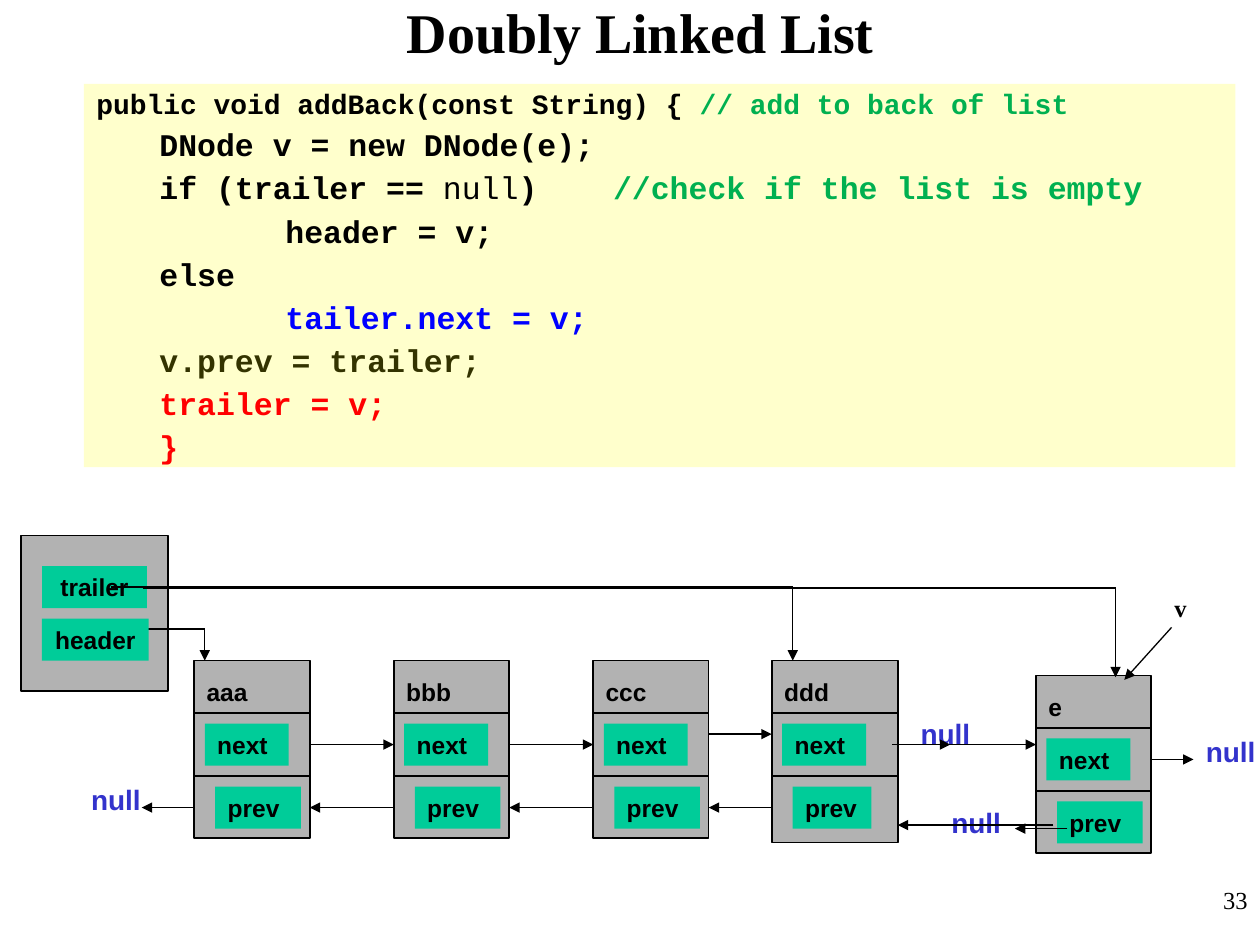
from dataclasses import dataclass

from lxml.etree import SubElement
from pptx import Presentation
from pptx.dml.color import RGBColor
from pptx.enum.shapes import MSO_CONNECTOR, MSO_SHAPE
from pptx.enum.text import MSO_ANCHOR, PP_ALIGN
from pptx.oxml.ns import qn
from pptx.util import Pt


@dataclass(frozen=True)
class Theme:
    serif: str = "Times New Roman"
    sans: str = "Arial"
    mono: str = "Courier New"
    ink: str = "000000"
    code_panel: str = "FFFFCC"
    comment: str = "00B050"
    link_next: str = "0000FF"
    link_prev: str = "333300"
    move_trailer: str = "FF0000"
    node: str = "B2B2B2"
    field: str = "00CC99"
    null: str = "3333CC"
    title_size: float = 32
    null_size: float = 16
    signature_size: float = 16
    code_size: float = 18
    label_size: float = 14
    thin: float = 0.75
    border: float = 1
    thick: float = 1.5


theme = Theme()

# Content: code lines as (indent level, size, [(text, colour, bold), ...])
title_text = "Doubly Linked List"
page_number = "33"
code_lines = [
    (0, theme.signature_size, [("public void addBack(const String) { ", theme.ink, True),
                               ("// add to back of list", theme.comment, True)]),
    (1, theme.code_size, [("DNode v = new DNode(e);", theme.ink, True)]),
    (1, theme.code_size, [("if (trailer == ", theme.ink, True),
                          ("null", theme.ink, False),
                          (")    ", theme.ink, True),
                          ("//check if the list is empty", theme.comment, True)]),
    (2, theme.code_size, [("header = v;", theme.ink, True)]),
    (1, theme.code_size, [("else", theme.ink, True)]),
    (2, theme.code_size, [("tailer.next = v;", theme.link_next, True)]),
    (1, theme.code_size, [("v.prev = trailer;", theme.link_prev, True)]),
    (1, theme.code_size, [("trailer = v;", theme.move_trailer, True)]),
    (1, theme.code_size, [("}", theme.move_trailer, True)]),
]
code_indents = (0, 36, 108)

# Nodes: name, left, top, width, height, width of the prev field
nodes = [
    ("aac".replace("c", "a"), 111, 377.5, 66, 101.5, 49),
    ("bbb", 225, 377.5, 66, 101.5, 49),
    ("ccc", 339, 377.5, 66, 101.5, 49),
    ("ddd", 441, 377.5, 72, 104, 45),
    ("e", 592, 386, 66, 101.5, 49),
]
# List ends: text, left, top, width
list_ends = [("trailer", 24, 323.5, 60), ("header", 24, 353.5, 61)]
null_labels = [(519, 406), (45, 443.5), (682, 416), (536.5, 456.5)]

# Arrows: start and end points
next_arrows = [((177, 425.5), (225, 425.5)), ((291, 425.5), (339, 425.5)),
               ((405, 419.5), (441, 419.5)), ((513, 425.5), (543, 425.5)),
               ((510, 425.5), (592, 425.5)), ((658, 434), (682, 434))]
prev_arrows = [((111, 461.5), (81, 461.5)), ((225, 461.5), (177, 461.5)),
               ((339, 461.5), (291, 461.5)), ((441, 461.5), (405, 461.5)),
               ((602, 471.5), (513, 471.5)), ((610, 473.5), (580, 473.5))]
variable_arrow = ((669.5, 358.5), (642.5, 388.5))
# Elbows: start, corner, end
trailer_elbows = [((63.5, 335.5), (453, 335.5), (453, 377.5)),
                  ((81.5, 336), (637.5, 336), (637.5, 387))]
header_elbow = ((69, 359.5), (117, 359.5), (117, 377.5))

presentation = Presentation()
presentation.slide_width, presentation.slide_height = Pt(720), Pt(540)
slide = presentation.slides.add_slide(presentation.slide_layouts[5])
shapes = slide.shapes


def rgb(colour):
    return RGBColor.from_string(colour)


def set_font(font, name, size, colour, bold=True):
    font.name, font.size, font.bold = name, Pt(size), bold
    font.color.rgb = rgb(colour)


def add_box(left, top, width, height, fill, border=None):
    box = shapes.add_shape(MSO_SHAPE.RECTANGLE, Pt(left), Pt(top), Pt(width), Pt(height))
    box.shadow.inherit = False
    box.fill.solid()
    box.fill.fore_color.rgb = rgb(fill)
    if border:
        box.line.color.rgb = rgb(theme.ink)
        box.line.width = Pt(border)
    else:
        box.line.fill.background()
    return box


def write(box, text, name=theme.sans, size=theme.label_size, colour=theme.ink,
          bold=True, align=PP_ALIGN.LEFT, anchor=MSO_ANCHOR.TOP):
    frame = box.text_frame
    frame.word_wrap, frame.vertical_anchor = True, anchor
    paragraph = frame.paragraphs[0]
    paragraph.text, paragraph.alignment = text, align
    set_font(paragraph.font, name, size, colour, bold)


def add_label(text, left, top, width, height, **style):
    write(shapes.add_textbox(Pt(left), Pt(top), Pt(width), Pt(height)), text, **style)


def add_field(text, left, top, width, align=PP_ALIGN.LEFT):
    write(add_box(left, top, width, 24, theme.field), text, align=align)


def add_line(start, end, width=theme.thin, arrow=False):
    line = shapes.add_connector(MSO_CONNECTOR.STRAIGHT, *map(Pt, start + end))
    line.line.color.rgb = rgb(theme.ink)
    line.line.width = Pt(width)
    properties = line.line._get_or_add_ln()
    if arrow:
        SubElement(properties, qn("a:tailEnd"), type="triangle")
    SubElement(properties.getparent(), qn("a:effectLst"))


def add_node(name, left, top, width, height, prev_width):
    add_box(left, top, width, height, theme.node, theme.border)
    for offset, weight in ((30, theme.border), (66, theme.thin)):
        add_line((left, top + offset), (left + width, top + offset), weight)
    add_label(name, left, top + 6, 72, 24)
    add_field("next", left + 6, top + 36, 48)
    add_field("prev", left + 12, top + 72, prev_width)


# Title
title = shapes.title
title.left, title.top, title.width, title.height = Pt(12), Pt(0), Pt(708), Pt(36)
write(title, title_text, theme.serif, theme.title_size,
      align=PP_ALIGN.CENTER, anchor=MSO_ANCHOR.MIDDLE)

# Code panel
code_frame = add_box(48, 48, 658, 219, theme.code_panel).text_frame
code_frame.word_wrap, code_frame.vertical_anchor = True, MSO_ANCHOR.MIDDLE
for number, (level, size, pieces) in enumerate(code_lines):
    line = code_frame.add_paragraph() if number else code_frame.paragraphs[0]
    line.alignment = PP_ALIGN.LEFT
    line._p.get_or_add_pPr().set("marL", str(Pt(code_indents[level])))
    if number:
        line.space_before = Pt(3)
    for text, colour, bold in pieces:
        run = line.add_run()
        run.text = text
        set_font(run.font, theme.mono, size, colour, bold)

# List object with its two ends
add_box(12, 306, 84, 89, theme.node, theme.border)
add_line(*header_elbow[:2], theme.thick)
add_line(*header_elbow[1:], arrow=True)
for text, left, top, width in list_ends:
    add_field(text, left, top, width, PP_ALIGN.CENTER)

# Nodes and labels
for node in nodes:
    add_node(*node)
for left, top in null_labels:
    add_label("null", left, top, 48, 26, size=theme.null_size, colour=theme.null)
add_label("v", 664, 335.5, 42, 24.5, name=theme.serif)

# Links
for start, end in next_arrows + prev_arrows + [variable_arrow]:
    add_line(start, end, arrow=True)
for start, corner, end in trailer_elbows:
    add_line(start, corner)
    add_line(corner, end, arrow=True)

# Page number
add_label(page_number, 690, 502, 30, 36, name=theme.serif, bold=False, align=PP_ALIGN.RIGHT)

presentation.save("out.pptx")
